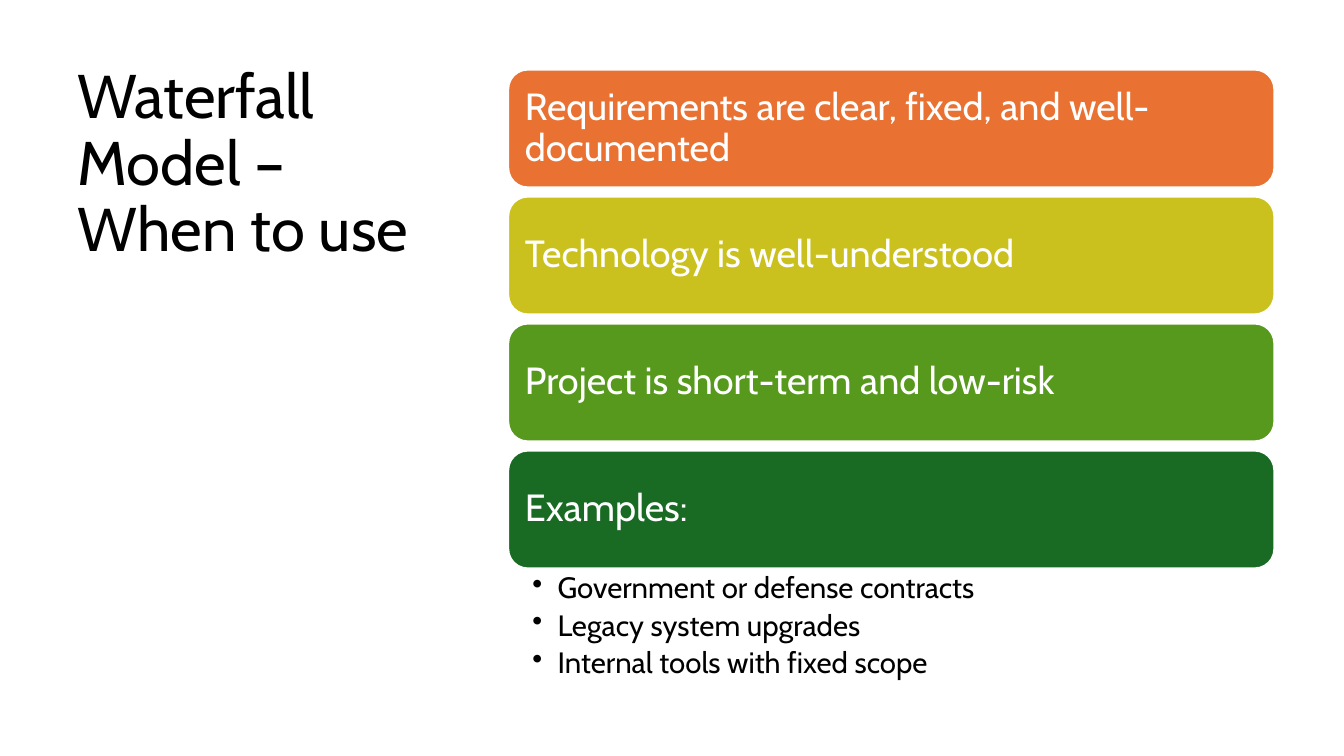
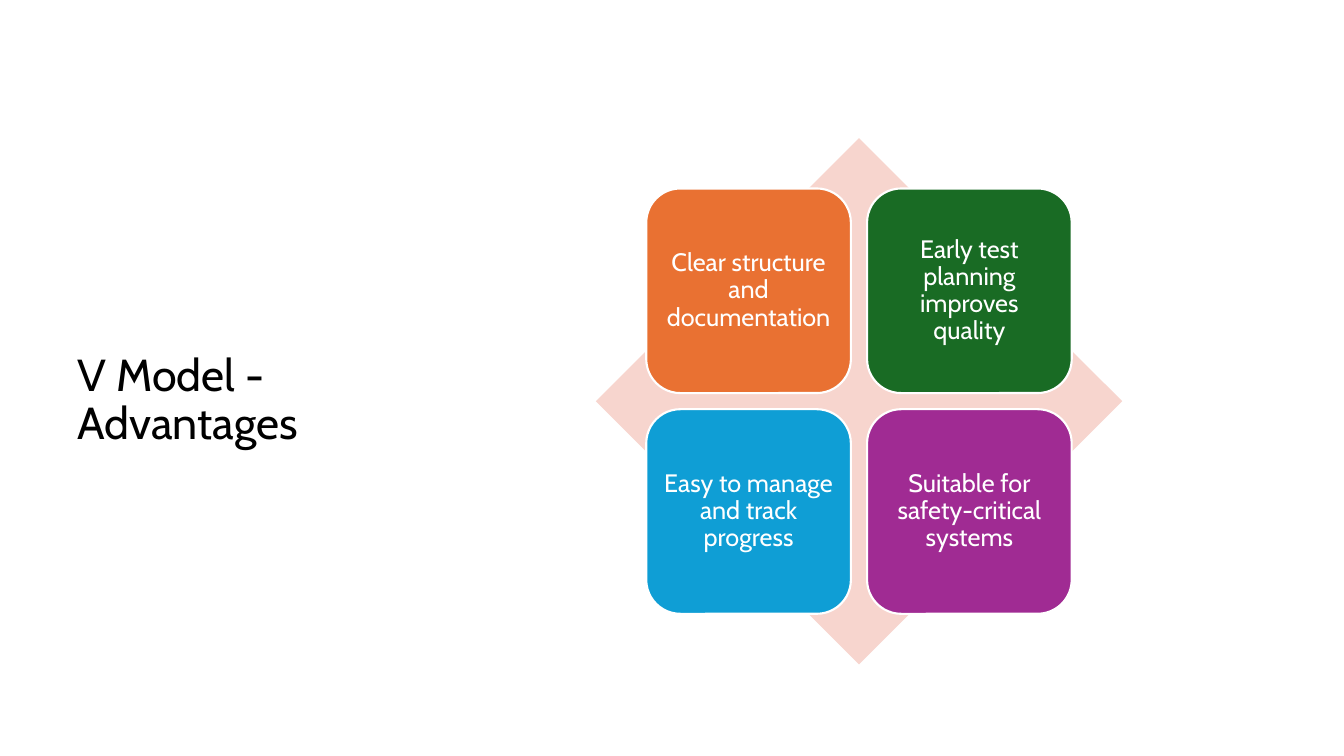
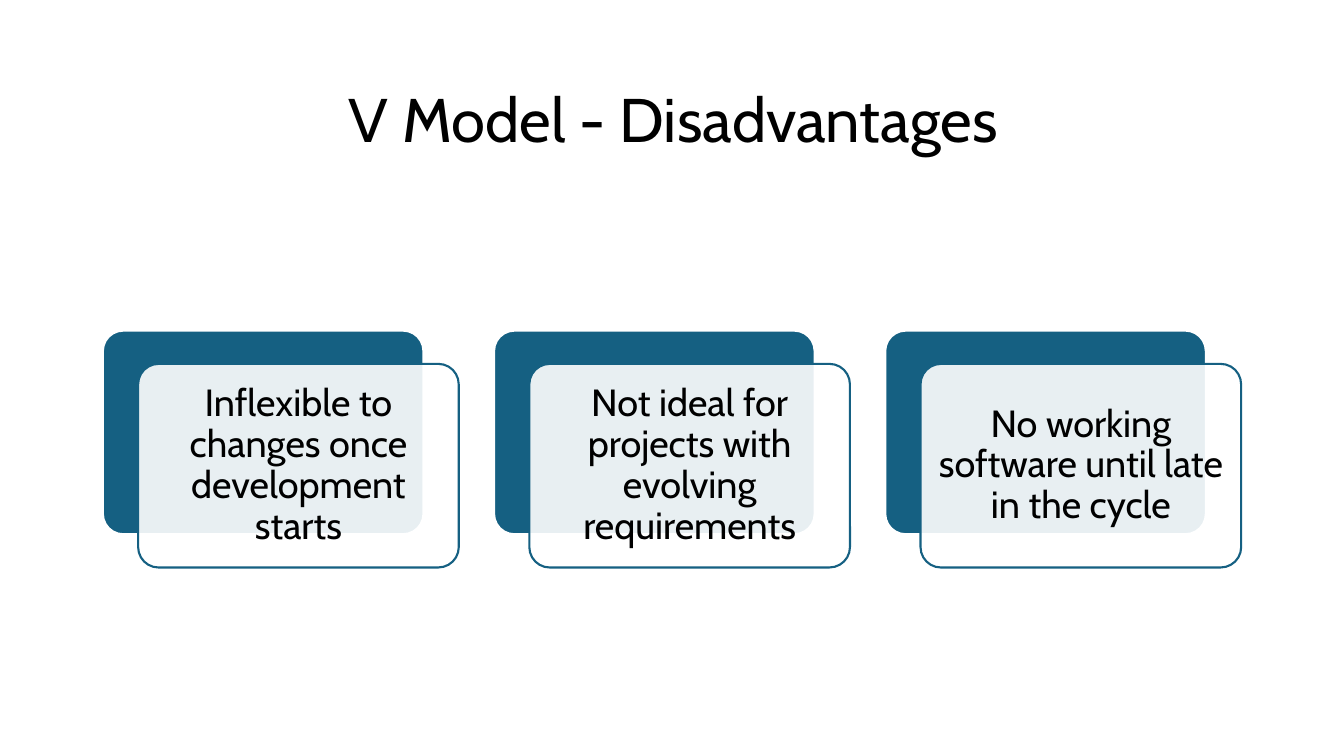
from lxml import etree
from pptx import Presentation
from pptx.dml.color import RGBColor
from pptx.enum.shapes import MSO_SHAPE as Preset
from pptx.enum.text import MSO_ANCHOR as Anchor, PP_ALIGN as Align
from pptx.oxml.ns import qn
from pptx.util import Inches, Pt

FONT = "Cabin"
BLACK, WHITE = "000000", "FFFFFF"
ORANGE, YELLOW, LIME, GREEN = "E97132", "CBC11E", "56991D", "196B24"
BLUE, PURPLE, TEAL, PINK = "0F9ED5", "A02B93", "156082", "F7D5CE"


def add_block(page, preset, box, fill, line=None):
    block = page.shapes.add_shape(preset, *map(Inches, box))
    block.shadow.inherit = False
    block.fill.solid()
    block.fill.fore_color.rgb = RGBColor.from_string(fill)
    if line:
        block.line.color.rgb = RGBColor.from_string(line)
        block.line.width = Pt(1.5)
    else:
        block.line.fill.background()
    return block


def write(shape, lines, size, colour, align=Align.LEFT, anchor=Anchor.MIDDLE,
          insets=(0.1, 0.05, 0.1, 0.05), bullet=None):
    frame = shape.text_frame
    frame.word_wrap = True
    frame.vertical_anchor = anchor
    for side, inset in zip(("left", "top", "right", "bottom"), insets):
        setattr(frame, f"margin_{side}", Inches(inset))
    for number, line in enumerate(lines):
        para = frame.add_paragraph() if number else frame.paragraphs[0]
        para.alignment = align
        para.line_spacing = 0.9
        if bullet:
            para.space_after = Pt(4)
            props = para._p.get_or_add_pPr()
            props.set("marL", str(Inches(0.25)))
            props.set("indent", str(Inches(-0.25)))
            etree.SubElement(props, qn("a:buChar")).set("char", bullet)
        span = para.add_run()
        span.text = line
        for name, value in {"name": FONT, "size": Pt(size)}.items():
            setattr(span.font, name, value)
        span.font.color.rgb = RGBColor.from_string(colour)


deck = Presentation()
deck.slide_width, deck.slide_height = Inches(13.33), Inches(7.5)

titles = [
    ("Waterfall Model – When to use", (0.67, 0.6, 3.82, 6.33), 44, Align.LEFT, Anchor.TOP),
    ("V Model - Advantages", (0.67, 1.37, 3.18, 5.22), 32, Align.LEFT, Anchor.MIDDLE),
    ("V Model - Disadvantages", (1.67, 0.6, 10.02, 1.24), 44, Align.CENTER, Anchor.MIDDLE),
]
pages = []
for title, box, size, align, anchor in titles:
    page = deck.slides.add_slide(deck.slide_layouts[6])
    write(page.shapes.add_textbox(*map(Inches, box)), [title], size, BLACK, align, anchor)
    pages.append(page)
when_to_use, advantages, disadvantages = pages

# Waterfall: stacked bars with a list of examples below
conditions = [
    ("Requirements are clear, fixed, and well-documented", ORANGE),
    ("Technology is well-understood", YELLOW),
    ("Project is short-term and low-risk", LIME),
    ("Examples:", GREEN),
]
for row, (condition, colour) in enumerate(conditions):
    bar = add_block(when_to_use, Preset.ROUNDED_RECTANGLE,
                    (5.04, 0.69 + 1.26 * row, 7.6, 1.17), colour, WHITE)
    write(bar, [condition], 27, WHITE, insets=[0.11] * 4)
examples = ["Government or defense contracts", "Legacy system upgrades",
            "Internal tools with fixed scope"]
example_box = when_to_use.shapes.add_textbox(*map(Inches, (5.04, 5.65, 7.6, 1.19)))
write(example_box, examples, 21, BLACK, anchor=Anchor.TOP,
      insets=(0.24, 0.04, 0.21, 0.04), bullet="•")

# V Model advantages: two by two tiles on a diamond
add_block(advantages, Preset.DIAMOND, (5.91, 1.37, 5.22, 5.22), PINK)
benefits = [
    ("Clear structure and documentation", ORANGE),
    ("Early test planning improves quality", GREEN),
    ("Easy to manage and track progress", BLUE),
    ("Suitable for safety-critical systems", PURPLE),
]
for index, (benefit, colour) in enumerate(benefits):
    row, column = divmod(index, 2)
    tile = add_block(advantages, Preset.ROUNDED_RECTANGLE,
                     (6.41 + 2.19 * column, 1.87 + 2.19 * row, 2.03, 2.03), colour, WHITE)
    write(tile, [benefit], 18, WHITE, Align.CENTER, insets=[0.07] * 4)

# V Model disadvantages: translucent cards over offset backing cards
drawbacks = [
    "Inflexible to changes once development starts",
    "Not ideal for projects with evolving requirements",
    "No working software until late in the cycle",
]
for column, drawback in enumerate(drawbacks):
    left, top = 1.02 + 3.88 * column, 3.28
    backing = add_block(disadvantages, Preset.ROUNDED_RECTANGLE,
                        (left, top, 3.18, 2.02), TEAL, WHITE)
    card = add_block(disadvantages, Preset.ROUNDED_RECTANGLE,
                     (left + 0.35, top + 0.33, 3.18, 2.02), WHITE, TEAL)
    for shape in (backing, card):
        shape.adjustments[0] = 0.1
    tint = card._element.spPr.find(qn("a:solidFill")).find(qn("a:srgbClr"))
    etree.SubElement(tint, qn("a:alpha")).set("val", "90000")
    write(card, [drawback], 27, BLACK, Align.CENTER, insets=[0.11] * 4)

deck.save("out.pptx")
